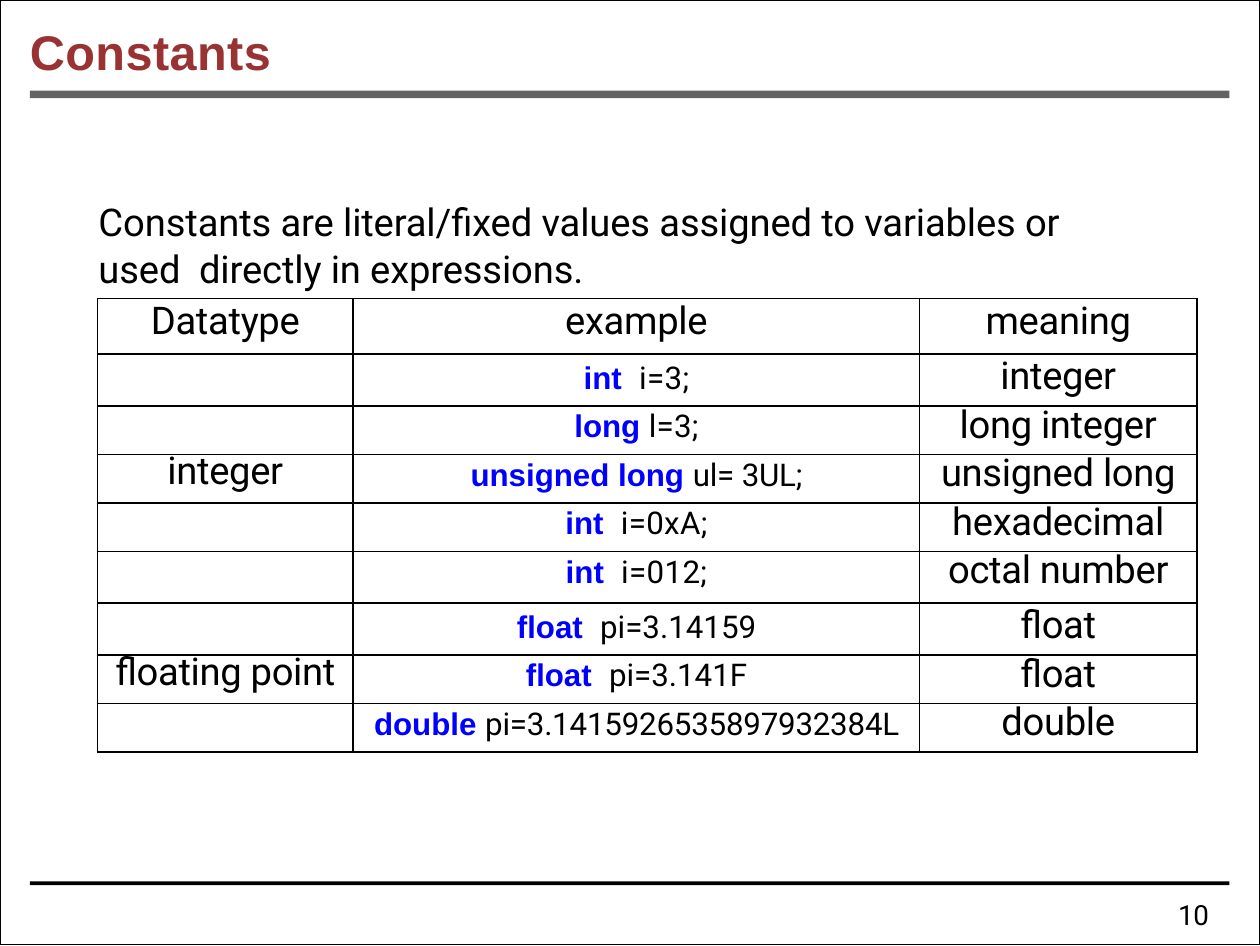
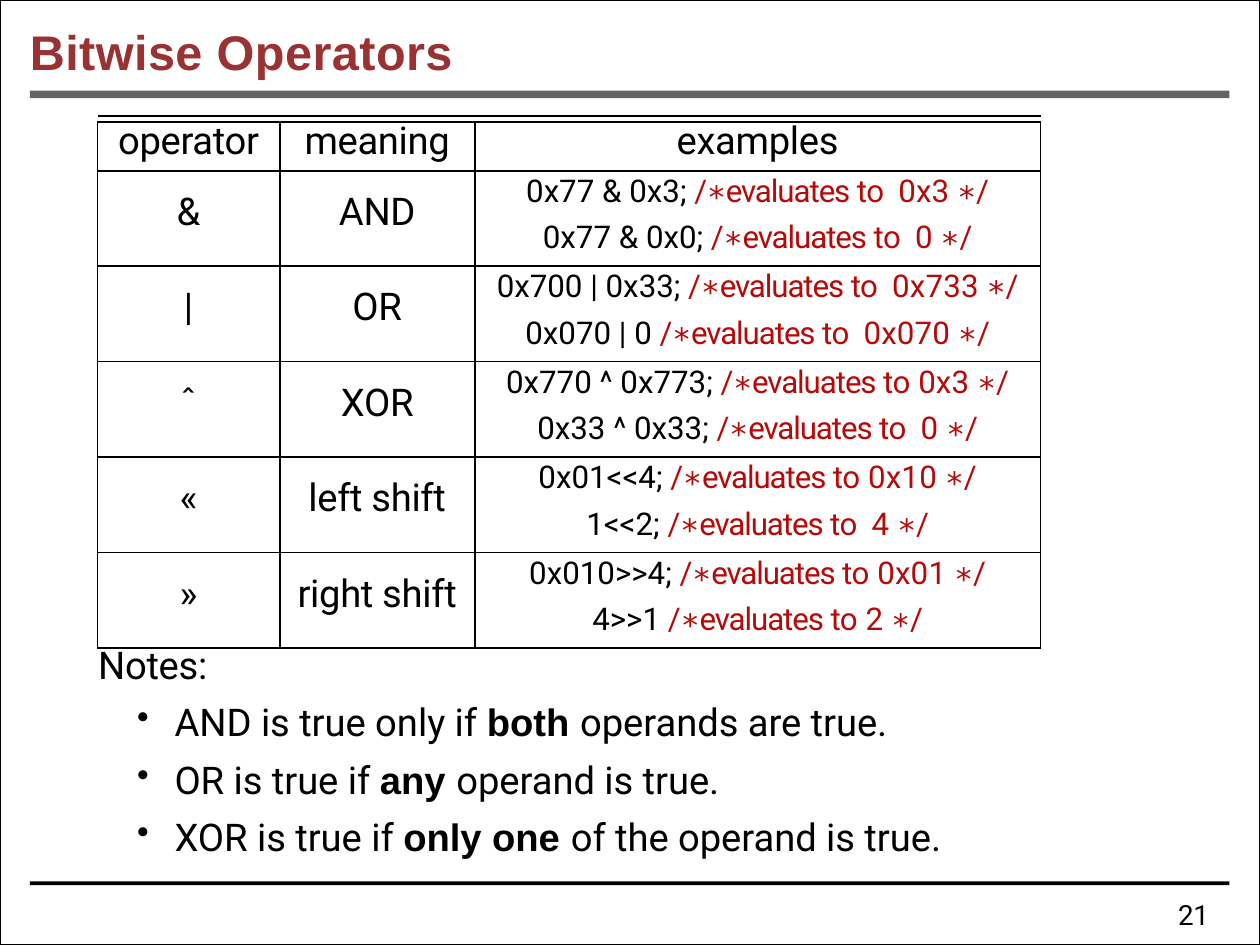
from pptx import Presentation
from pptx.dml.color import RGBColor
from pptx.enum.shapes import MSO_CONNECTOR as Conn, MSO_SHAPE as Shape
from pptx.enum.text import PP_ALIGN as Align
from pptx.oxml.ns import qn
from pptx.util import Pt
from lxml.etree import SubElement as Sub

BLACK = RGBColor(0x00, 0x00, 0x00)
GRAY = RGBColor(0x63, 0x63, 0x63)
BRICK = RGBColor(0x99, 0x33, 0x33)
BLUE = RGBColor(0x00, 0x00, 0xFF)
RED = RGBColor(0xB5, 0x0A, 0x0A)
SANS, BOLD, MONO = "Roboto", "Arial", "DejaVu Sans Mono"
WIDE, HIGH = 363, 272.5
EDGE = 8.64      # left end of the bands
SPAN = 345.6     # length of the bands
LEFT = 28.1      # left edge of the content


# Text
def write(para, text, size=11, font=SANS, color=BLACK, bold=False, gap=-0.1):
    run = para.add_run()
    run.text = text
    face = run.font
    face.size, face.name, face.bold = Pt(size), font, bold
    face.color.rgb = color
    run._r.get_or_add_rPr().set("spc", str(round(gap * 100)))


def clear(frame):
    frame.margin_left = frame.margin_right = 0
    frame.margin_top = frame.margin_bottom = 0


def add_box(slide, x, y, w, h):
    frame = slide.shapes.add_textbox(Pt(x), Pt(y), Pt(w), Pt(h)).text_frame
    frame.word_wrap = True
    clear(frame)
    return frame


def add_bullet(frame, start, strong, end):
    para = frame.add_paragraph()
    para.space_before = Pt(3.3)
    props = para._p.get_or_add_pPr()
    props.set("marL", str(Pt(22)))
    props.set("indent", str(-Pt(10.8)))
    Sub(props, qn("a:buSzPct")).set("val", "91000")
    Sub(props, qn("a:buChar")).set("char", "•")
    write(para, start, gap=-0.03)
    write(para, strong, font=BOLD, bold=True, gap=-0.03)
    write(para, end, gap=-0.03)


# Lines and bands
def add_line(slide, x, y, end):
    line = slide.shapes.add_connector(Conn.STRAIGHT, Pt(x), Pt(y), Pt(end), Pt(y))
    line.line.color.rgb = BLACK
    line.line.width = Pt(0.4)
    Sub(line._element.spPr, qn("a:effectLst"))


def add_rect(slide, x, y, w, h, fill=None):
    rect = slide.shapes.add_shape(Shape.RECTANGLE, Pt(x), Pt(y), Pt(w), Pt(h))
    rect.shadow.inherit = False
    if fill is None:
        rect.fill.background()
        rect.line.color.rgb = BLACK
        rect.line.width = Pt(0.4)
    else:
        rect.fill.solid()
        rect.fill.fore_color.rgb = fill
        rect.line.fill.background()


def add_slide(deck, title, number):
    slide = deck.slides.add_slide(deck.slide_layouts[6])
    add_rect(slide, 0, 0, 362.85, 272.15)
    add_rect(slide, EDGE, 26.1, SPAN, 2.2, GRAY)
    add_rect(slide, EDGE, 253.9, SPAN, 1.1, BLACK)
    head = add_box(slide, 8.6, 6.3, 300, 18)
    write(head.paragraphs[0], title, size=14, font=BOLD, color=BRICK,
          bold=True, gap=0.1)
    foot = add_box(slide, 339.4, 258.7, 15, 11)
    write(foot.paragraphs[0], number, size=8)
    return slide


# Tables
def add_grid(slide, y, cols, rows):
    shape = slide.shapes.add_table(len(rows), len(cols), Pt(LEFT), Pt(y),
                                   Pt(sum(cols)), Pt(sum(rows)))
    grid = shape.table
    grid.first_row = grid.horz_banding = False
    for col, width in zip(grid.columns, cols):
        col.width = Pt(width)
    for row, height in zip(grid.rows, rows):
        row.height = Pt(height)
    for cell in grid.iter_cells():
        clear(cell)
        props = cell._tc.get_or_add_tcPr()
        for side in ("lnL", "lnR", "lnT", "lnB"):
            line = Sub(props, qn("a:" + side), w=str(Pt(0.5)))
            fill = Sub(line, qn("a:solidFill"))
            Sub(fill, qn("a:srgbClr")).set("val", str(BLACK))
        cell.fill.background()
        # Keeps the rows with empty cells low
        Sub(cell.text_frame.paragraphs[0]._p, qn("a:endParaRPr")).set("sz", "900")
    return grid


def center(cell, top=0, pitch=None):
    cell.margin_top = Pt(top)
    para = cell.text_frame.paragraphs[0]
    para.alignment = Align.CENTER
    if pitch:
        para.line_spacing = Pt(pitch)
    return para


def add_heads(grid, names, pitch):
    for col, name in enumerate(names):
        write(center(grid.cell(0, col), pitch=pitch), name)


def add_note(para, code, value, wide):
    """Code followed by a comment; wide opens the gap before the value."""
    write(para, code + " ", size=9, gap=0)
    red = {"size": 9, "color": RED}
    write(para, "/", gap=-0.3, **red)
    write(para, "∗", font=MONO, gap=-0.3, **red)
    write(para, "evaluates ", gap=-0.3, **red)
    write(para, "to", **red)
    write(para, " ", gap=1.8 if wide else 0, **red)
    write(para, value + " ", gap=0.05, **red)
    write(para, "∗", font=MONO, gap=-1.4, **red)
    write(para, "/", gap=-1.4, **red)


# Slides
def add_consts(deck):
    slide = add_slide(deck, "Constants", "10")
    intro = add_box(slide, 28.4, 56.7, 296, 28).paragraphs[0]
    intro.line_spacing = 1.03
    write(intro, "Constants are literal/ﬁxed values assigned to variables "
                 "or used  directly in expressions.", gap=-0.05)

    # Type, code, letter gap, meaning, and whether the row opens a group
    rows = [
        ("int", "i=3;", 0.1, "integer", True),
        ("long", "l=3;", 0.05, "long integer", False),
        ("unsigned long", "ul= 3UL;", -0.05, "unsigned long", False),
        ("int", "i=0xA;", 0.1, "hexadecimal", False),
        ("int", "i=012;", 0.1, "octal number", False),
        ("ﬂoat", "pi=3.14159", 0, "ﬂoat", True),
        ("ﬂoat", "pi=3.141F", 0, "ﬂoat", False),
        ("double", "pi=3.1415926535897932384L", -0.05, "double", False),
    ]
    highs = [16, 15, 14, 14, 14, 14.8, 15, 14, 14]
    grid = add_grid(slide, 86, [73.7, 163.2, 79.9], highs)
    add_heads(grid, ["Datatype", "example", "meaning"], 12.9)
    for row, (kind, code, gap, sense, first) in enumerate(rows, 1):
        para = center(grid.cell(row, 1), top=1.8 if first else 0.7)
        blue = {"size": 9, "font": BOLD, "color": BLUE, "bold": True}
        write(para, kind, gap=0, **blue)
        write(para, " ", gap=2.5 if kind in ("int", "ﬂoat") else 0, **blue)
        write(para, code, size=9, gap=gap)
        write(center(grid.cell(row, 2), pitch=12.9 if first else 11.9), sense)
    for row, name, pitch in [(3, "integer", 11.1), (7, "ﬂoating point", 11.5)]:
        write(center(grid.cell(row, 0), pitch=pitch), name)


def add_bits(deck):
    slide = add_slide(deck, "Bitwise Operators", "21")
    add_line(slide, LEFT, 33.4, 300)
    # Sign, meaning, and two examples: code, value, wide gap
    rows = [
        ("&", "AND", ("0x77 & 0x3;", "0x3", True), ("0x77 & 0x0;", "0", True)),
        ("|", "OR", ("0x700 | 0x33;", "0x733", True),
         ("0x070 | 0", "0x070", True)),
        ("ˆ", "XOR", ("0x770 ^ 0x773;", "0x3", False),
         ("0x33 ^ 0x33;", "0", True)),
        ("«", "left shift", ("0x01<<4;", "0x10", False), ("1<<2;", "4", True)),
        ("»", "right shift", ("0x010>>4;", "0x01", False),
         ("4>>1", "2", False)),
    ]
    grid = add_grid(slide, 35.2, [52.5, 56.2, 163], [14] + [27.5] * len(rows))
    add_heads(grid, ["operator", "meaning", "examples"], 11.9)
    for row, (sign, sense, upper, lower) in enumerate(rows, 1):
        write(center(grid.cell(row, 0), top=5.5), sign, gap=0)
        write(center(grid.cell(row, 1), top=5.5), sense)
        cell = grid.cell(row, 2)
        add_note(center(cell, top=0.7), *upper)
        para = cell.text_frame.add_paragraph()
        para.alignment = Align.CENTER
        para.space_before = Pt(2.8)
        add_note(para, *lower)

    notes = add_box(slide, 28.3, 184.8, 270, 64)
    write(notes.paragraphs[0], "Notes:")
    add_bullet(notes, "AND is true only if ", "both ", "operands are true.")
    add_bullet(notes, "OR is true if ", "any ", "operand is true.")
    add_bullet(notes, "XOR is true if ", "only one ", "of the operand is true.")


def main():
    deck = Presentation()
    deck.slide_width, deck.slide_height = Pt(WIDE), Pt(HIGH)
    add_consts(deck)
    add_bits(deck)
    deck.save("out.pptx")


if __name__ == "__main__":
    main()
